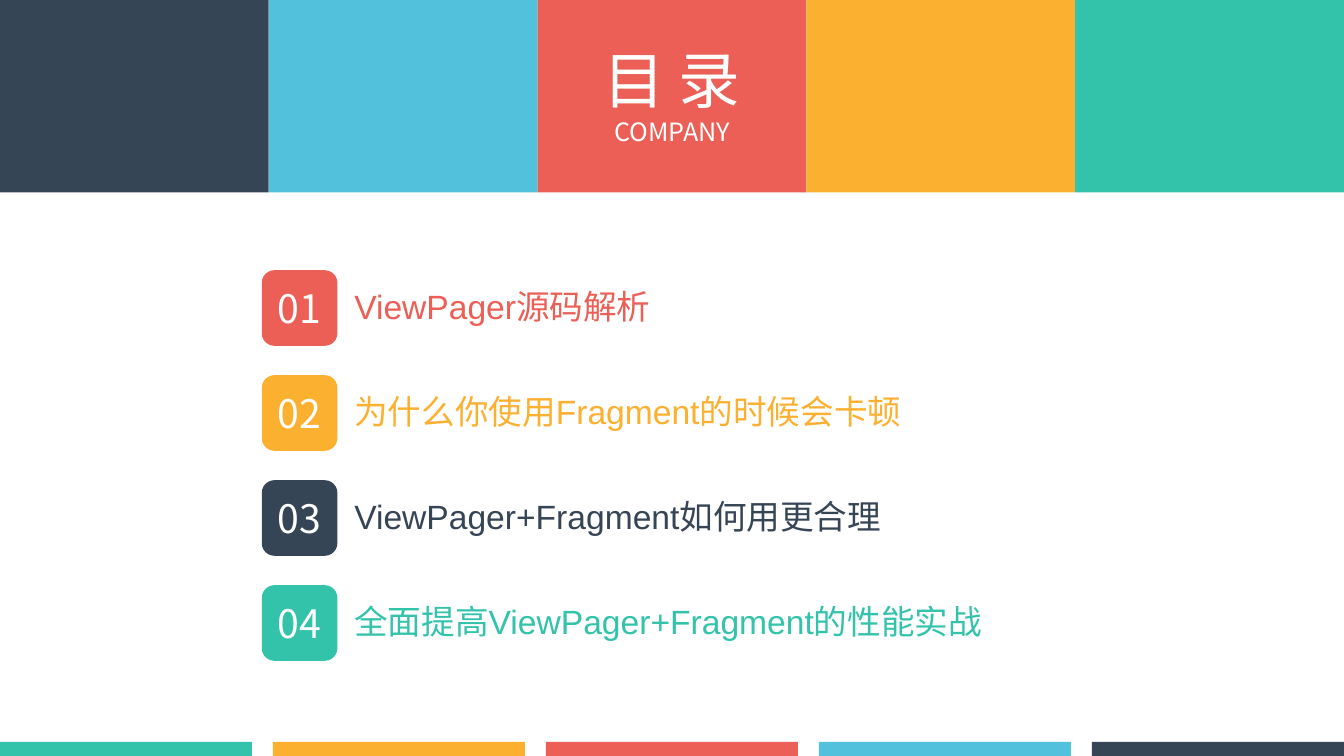
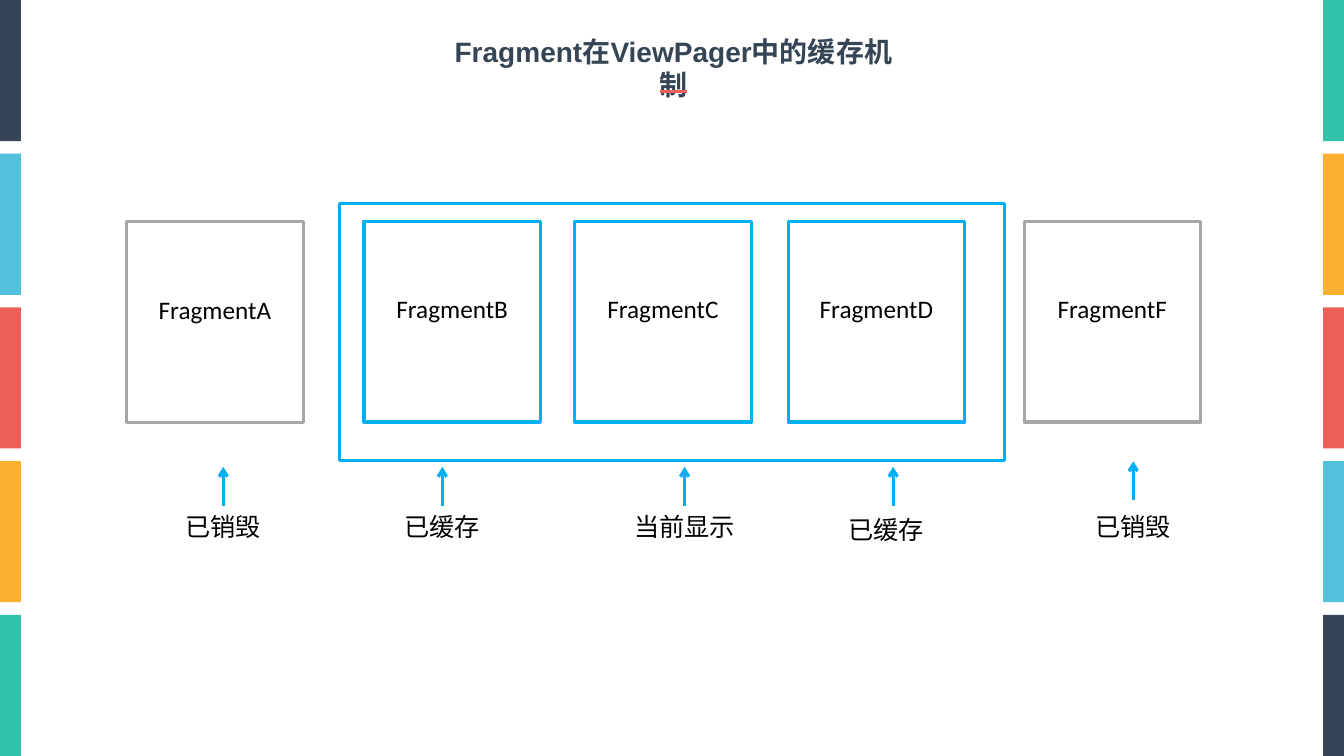
from lxml import etree
from pptx import Presentation
from pptx.dml.color import RGBColor
from pptx.enum.shapes import MSO_CONNECTOR as Connector, MSO_SHAPE as Shape
from pptx.enum.text import MSO_ANCHOR as Anchor, PP_ALIGN as Align
from pptx.oxml.ns import qn
from pptx.util import Pt

SLIDE_W, SLIDE_H = 960, 540
NAVY, SKY, CORAL, AMBER, TEAL = "364555", "52C2DC", "EB5F56", "FCB030", "33C3AB"
WHITE, BLACK, CYAN, GRAY = "FFFFFF", "000000", "00B0F0", "A6A6A6"
PALETTE = [NAVY, SKY, CORAL, AMBER, TEAL]
CJK_FONT = "Noto Sans CJK SC"
LINE_WIDTH = 2.25


def color(hex_code):
    return RGBColor.from_string(hex_code)


def write(frame, *lines, sizes, ink, font="Arial", bold=False, align=Align.LEFT,
          anchor=Anchor.TOP, wrap=True):
    """Fill a text frame with one paragraph per line, each with its own size."""
    frame.word_wrap = wrap
    frame.vertical_anchor = anchor
    for index, (line, size) in enumerate(zip(lines, sizes)):
        paragraph = frame.add_paragraph() if index else frame.paragraphs[0]
        paragraph.alignment = align
        run = paragraph.add_run()
        run.text = line
        run.font.size, run.font.bold, run.font.name = Pt(size), bold, font
        run.font.color.rgb = color(ink)
        east_asian = etree.SubElement(run.font._element, qn("a:ea"))
        east_asian.set("typeface", CJK_FONT)


def add_text(slide, box, *lines, **style):
    frame = slide.shapes.add_textbox(*map(Pt, box)).text_frame
    write(frame, *lines, **style)


def add_block(slide, box, fill=None, outline=None, kind=Shape.RECTANGLE):
    block = slide.shapes.add_shape(kind, *map(Pt, box))
    block.shadow.inherit = False
    if fill:
        block.fill.solid()
        block.fill.fore_color.rgb = color(fill)
    else:
        block.fill.background()
    if outline:
        block.line.color.rgb = color(outline)
        block.line.width = Pt(LINE_WIDTH)
    else:
        block.line.fill.background()
    return block


def add_line(slide, start, end, ink, arrow=False):
    line = slide.shapes.add_connector(Connector.STRAIGHT, *map(Pt, (*start, *end)))
    line.line.color.rgb = color(ink)
    line.line.width = Pt(LINE_WIDTH)
    if arrow:
        etree.SubElement(line.line._get_or_add_ln(), qn("a:tailEnd")).set("type", "arrow")
    etree.SubElement(line._element.spPr, qn("a:effectLst"))


def add_color_band(slide, box, colors, gap=0, vertical=False):
    """Split the box into equal blocks, one per colour."""
    left, top, width, height = box
    length = ((height if vertical else width) - gap * (len(colors) - 1)) / len(colors)
    for index, fill in enumerate(colors):
        offset = index * (length + gap)
        part = ((left, top + offset, width, length) if vertical
                else (left + offset, top, length, height))
        add_block(slide, part, fill)


def add_agenda_row(slide, left, top, number, topic, accent):
    badge = add_block(slide, (left, top, 54, 54), accent, kind=Shape.ROUNDED_RECTANGLE)
    write(badge.text_frame, number, sizes=[28], ink=WHITE, font=CJK_FONT,
          align=Align.CENTER, anchor=Anchor.MIDDLE, wrap=False)
    add_text(slide, (left + 59, top + 8, 534, 36), topic, sizes=[24], ink=accent)


def build_agenda(slide):
    add_color_band(slide, (0, 0, SLIDE_W, 137.5), PALETTE)
    add_text(slide, (421, 26.6, 118, 85), "目 录", "COMPANY", sizes=[44, 18], ink=WHITE,
             font=CJK_FONT, align=Align.CENTER, wrap=False)
    add_color_band(slide, (0, 530, SLIDE_W, 10), PALETTE[::-1], gap=15)
    topics = [
        ("ViewPager源码解析", CORAL),
        ("为什么你使用Fragment的时候会卡顿", AMBER),
        ("ViewPager+Fragment如何用更合理", NAVY),
        ("全面提高ViewPager+Fragment的性能实战", TEAL),
    ]
    for index, (topic, accent) in enumerate(topics):
        add_agenda_row(slide, 187, 193 + 75 * index, f"{index + 1:02}", topic, accent)


def add_content_frame(slide, title):
    """Place the title, its short rule and the coloured bars on both sides."""
    add_text(slide, (317.5, 21, 327, 32), title, sizes=[20], ink=NAVY, bold=True,
             align=Align.CENTER)
    add_line(slide, (471.5, 65.5), (490.5, 65.5), CORAL)
    for left, colors in ((0, PALETTE), (SLIDE_W - 15, PALETTE[::-1])):
        add_color_band(slide, (left, 0, 15, SLIDE_H), colors, gap=9, vertical=True)


def add_fragment(slide, left, top, name, outline):
    add_block(slide, (left, top, 126, 143.5), outline=outline)
    add_text(slide, (left, top + 48, 126, 29), name, sizes=[18], ink=BLACK,
             font="Calibri", align=Align.CENTER)


def add_state(slide, arrow_x, arrow_top, label_x, label_top, state):
    """Place an upward arrow and the state label centred below it."""
    add_line(slide, (arrow_x, arrow_top + 28), (arrow_x, arrow_top), CYAN, arrow=True)
    add_text(slide, (label_x - 45, label_top, 90, 29), state, sizes=[18], ink=BLACK,
             font="Calibri", align=Align.CENTER, wrap=False)


def build_cache_diagram(slide):
    add_content_frame(slide, "Fragment在ViewPager中的缓存机制")
    add_block(slide, (242.5, 145.5, 475, 183.5), outline=CYAN)
    fragments = [
        ("FragmentA", 90.5, 158.5, GRAY),
        ("FragmentB", 260, 158, CYAN),
        ("FragmentC", 410.5, 158, CYAN),
        ("FragmentD", 563, 158, CYAN),
        ("FragmentF", 731.5, 158, GRAY),
    ]
    for name, left, top, outline in fragments:
        add_fragment(slide, left, top, name, outline)
    states = [
        ("已销毁", 159.5, 333.5, 159.5, 361.5),
        ("已缓存", 316, 333.5, 316, 361.5),
        ("当前显示", 489, 333.5, 489, 361.5),
        ("已缓存", 638, 333.5, 633, 363.5),
        ("已销毁", 809.5, 329.5, 809.5, 361.5),
    ]
    for state, *place in states:
        add_state(slide, *place, state)


def main():
    deck = Presentation()
    deck.slide_width, deck.slide_height = Pt(SLIDE_W), Pt(SLIDE_H)
    blank = deck.slide_layouts[6]
    for build in (build_agenda, build_cache_diagram):
        build(deck.slides.add_slide(blank))
    deck.save("out.pptx")


if __name__ == "__main__":
    main()
